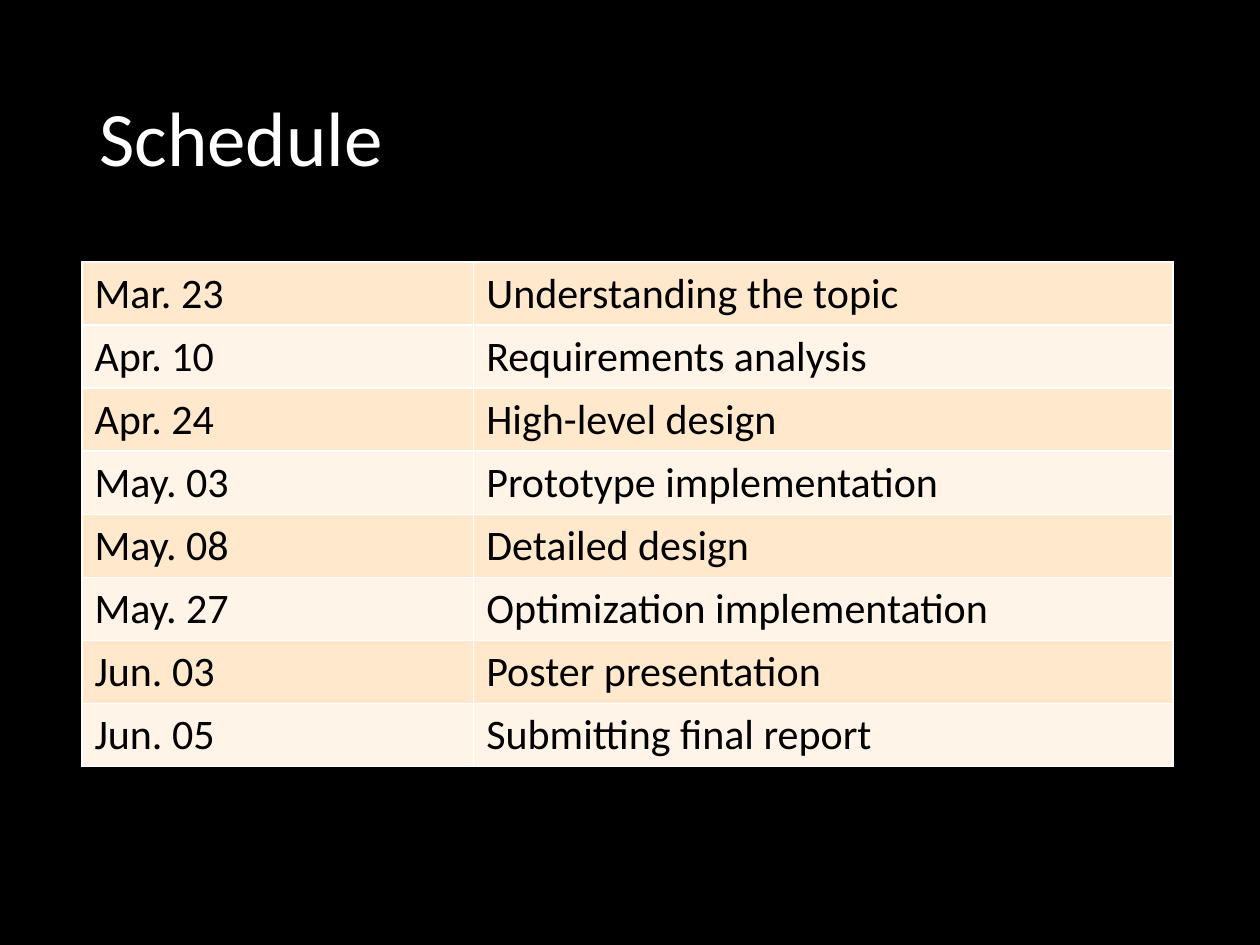
from typing import NamedTuple

from lxml.etree import SubElement
from pptx import Presentation
from pptx.dml.color import RGBColor
from pptx.enum.text import MSO_ANCHOR as Anchor
from pptx.oxml.ns import qn
from pptx.util import Inches, Pt


class Step(NamedTuple):
    date: str
    task: str


STEPS = [
    Step("Mar. 23", "Understanding the topic"),
    Step("Apr. 10", "Requirements analysis"),
    Step("Apr. 24", "High-level design"),
    Step("May. 03", "Prototype implementation"),
    Step("May. 08", "Detailed design"),
    Step("May. 27", "Optimization implementation"),
    Step("Jun. 03", "Poster presentation"),
    Step("Jun. 05", "Submitting final report"),
]
FONT = "Calibri"
BANDS = ("FFE8CC", "FFF4E7")
WIDTHS = (3.11, 5.55)
ROW = 0.5


def paint(fill, color: str) -> None:
    fill.solid()
    fill.fore_color.rgb = RGBColor.from_string(color)


def write(frame, text: str, size: float, color: str) -> None:
    frame.text = text
    font = frame.paragraphs[0].runs[0].font
    font.name, font.size = FONT, Pt(size)
    paint(font.fill, color)


def edge(cell, color: str, width: float) -> None:
    props = cell._tc.get_or_add_tcPr()
    for side in ("a:lnL", "a:lnR", "a:lnT", "a:lnB"):
        line = SubElement(props, qn(side), w=str(Pt(width)))
        fill = SubElement(line, qn("a:solidFill"))
        SubElement(fill, qn("a:srgbClr"), val=color)


def add_title(slide, text: str) -> None:
    box = slide.shapes.add_textbox(
        Inches(0.69), Inches(0.4), Inches(8.62), Inches(1.45))
    frame = box.text_frame
    frame.word_wrap = True
    frame.vertical_anchor = Anchor.MIDDLE
    write(frame, text, 44, "FFFFFF")
    frame.paragraphs[0].line_spacing = 0.9


def add_plan(slide, steps: list[Step]) -> None:
    table = slide.shapes.add_table(
        len(steps), len(WIDTHS), Inches(0.65), Inches(2.08),
        Inches(sum(WIDTHS)), Inches(ROW * len(steps))).table
    table.first_row = False
    for col, width in zip(table.columns, WIDTHS):
        col.width = Inches(width)
    for i, (row, step) in enumerate(zip(table.rows, steps)):
        for cell, text in zip(row.cells, step):
            write(cell.text_frame, text, 24, "000000")
            edge(cell, "FFFFFF", 1)
            paint(cell.fill, BANDS[i % len(BANDS)])


def main() -> None:
    deck = Presentation()
    deck.slide_width, deck.slide_height = Inches(10), Inches(7.5)
    slide = deck.slides.add_slide(deck.slide_layouts[6])

    # Background and title
    paint(slide.background.fill, "000000")
    add_title(slide, "Schedule")

    # Dates and tasks
    add_plan(slide, STEPS)
    deck.save("out.pptx")


if __name__ == "__main__":
    main()
